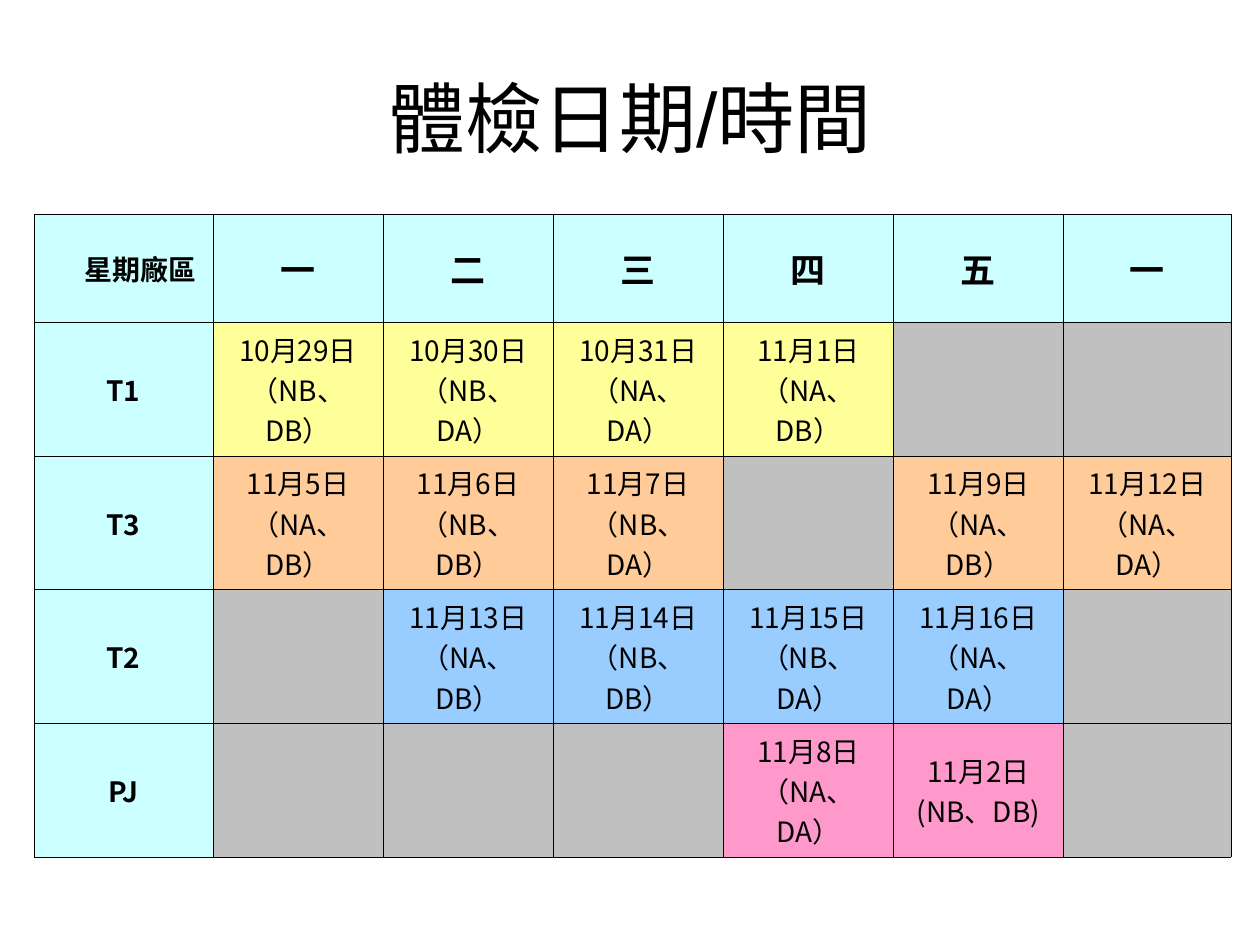
from dataclasses import dataclass
from typing import Optional

from lxml.etree import SubElement
from pptx import Presentation
from pptx.dml.color import RGBColor
from pptx.enum.text import MSO_ANCHOR, PP_ALIGN
from pptx.oxml.ns import qn
from pptx.util import Inches, Pt


@dataclass(frozen=True)
class Theme:
    ink: str = "000000"
    heading: str = "CCFFFF"
    unused: str = "C0C0C0"
    title_font: str = "Arial"
    table_font: str = "Noto Sans CJK SC"
    title_size: int = 44
    weekday_size: int = 20
    body_size: int = 16
    border: float = 0.45


@dataclass(frozen=True)
class Site:
    name: str
    color: str
    visits: tuple[Optional[str], ...]


THEME = Theme()
SLIDE_WIDTH, SLIDE_HEIGHT = Inches(10), Inches(7.5)
COLUMNS = (1.42, *[1.35] * 5, 1.33)
ROWS = (0.86, 0.98, 0.99, 0.99, 0.98)
WEEKDAYS = "一二三四五一"
CORNER_INDENT = 0.4

SITES = (
    Site("T1", "FFFF99", ("10月29日\n（NB、DB）", "10月30日\n（NB、DA）",
                          "10月31日\n（NA、DA）", "11月1日\n（NA、DB）", None, None)),
    Site("T3", "FFCC99", ("11月5日\n（NA、DB）", "11月6日\n（NB、DB）",
                          "11月7日\n（NB、DA）", None,
                          "11月9日\n（NA、DB）", "11月12日\n（NA、DA）")),
    Site("T2", "99CCFF", (None, "11月13日\n（NA、DB）", "11月14日\n（NB、DB）",
                          "11月15日\n（NB、DA）", "11月16日\n（NA、DA）", None)),
    Site("PJ", "FF99CC", (None, None, None, "11月8日\n（NA、DA）",
                          "11月2日\n(NB、DB)", None)),
)


def write(paragraph, text: str, font_name: str, size: int,
          bold: bool = False, align=PP_ALIGN.CENTER) -> None:
    paragraph.text = text
    paragraph.alignment = align
    font = paragraph.font
    font.name, font.size, font.bold = font_name, Pt(size), bold
    font.color.rgb = RGBColor.from_string(THEME.ink)
    east_asian = SubElement(paragraph._p.pPr.find(qn("a:defRPr")), qn("a:ea"))
    east_asian.set("typeface", font_name)


def draw_borders(cell) -> None:
    properties = cell._tc.get_or_add_tcPr()
    for side in ("lnL", "lnR", "lnT", "lnB"):
        line = SubElement(properties, qn(f"a:{side}"), w=str(Pt(THEME.border)))
        fill = SubElement(line, qn("a:solidFill"))
        SubElement(fill, qn("a:srgbClr"), val=THEME.ink)


def fill_cell(cell, text: Optional[str], color: str, size: int = THEME.body_size,
              bold: bool = False, align=PP_ALIGN.CENTER) -> None:
    draw_borders(cell)
    cell.fill.solid()
    cell.fill.fore_color.rgb = RGBColor.from_string(color)
    cell.vertical_anchor = MSO_ANCHOR.MIDDLE
    if text:
        write(cell.text_frame.paragraphs[0], text, THEME.table_font, size, bold, align)


def add_title(slide, text: str) -> None:
    title = slide.shapes.title
    title.left, title.top = int(SLIDE_WIDTH * 0.05), int(SLIDE_HEIGHT * 0.04)
    title.width, title.height = int(SLIDE_WIDTH * 0.9), Inches(1.25)
    title.text_frame.vertical_anchor = MSO_ANCHOR.MIDDLE
    write(title.text_frame.paragraphs[0], text, THEME.title_font, THEME.title_size)


def add_schedule(slide) -> None:
    schedule = slide.shapes.add_table(
        len(ROWS), len(COLUMNS), Inches(0.27), Inches(1.7),
        Inches(sum(COLUMNS)), Inches(sum(ROWS))).table
    schedule.first_row = schedule.horz_banding = False
    for column, width in zip(schedule.columns, COLUMNS):
        column.width = Inches(width)
    for row, height in zip(schedule.rows, ROWS):
        row.height = Inches(height)

    corner = schedule.cell(0, 0)
    fill_cell(corner, "星期廠區", THEME.heading, bold=True, align=PP_ALIGN.LEFT)
    corner.margin_left = Inches(CORNER_INDENT)
    for column, weekday in enumerate(WEEKDAYS, 1):
        fill_cell(schedule.cell(0, column), weekday, THEME.heading,
                  THEME.weekday_size, bold=True)
    for row, site in enumerate(SITES, 1):
        fill_cell(schedule.cell(row, 0), site.name, THEME.heading, bold=True)
        for column, visit in enumerate(site.visits, 1):
            fill_cell(schedule.cell(row, column), visit,
                      site.color if visit else THEME.unused)


def main() -> None:
    deck = Presentation()
    deck.slide_width, deck.slide_height = SLIDE_WIDTH, SLIDE_HEIGHT
    slide = deck.slides.add_slide(deck.slide_layouts[5])
    add_title(slide, "體檢日期/時間")
    add_schedule(slide)
    deck.save("out.pptx")


if __name__ == "__main__":
    main()
